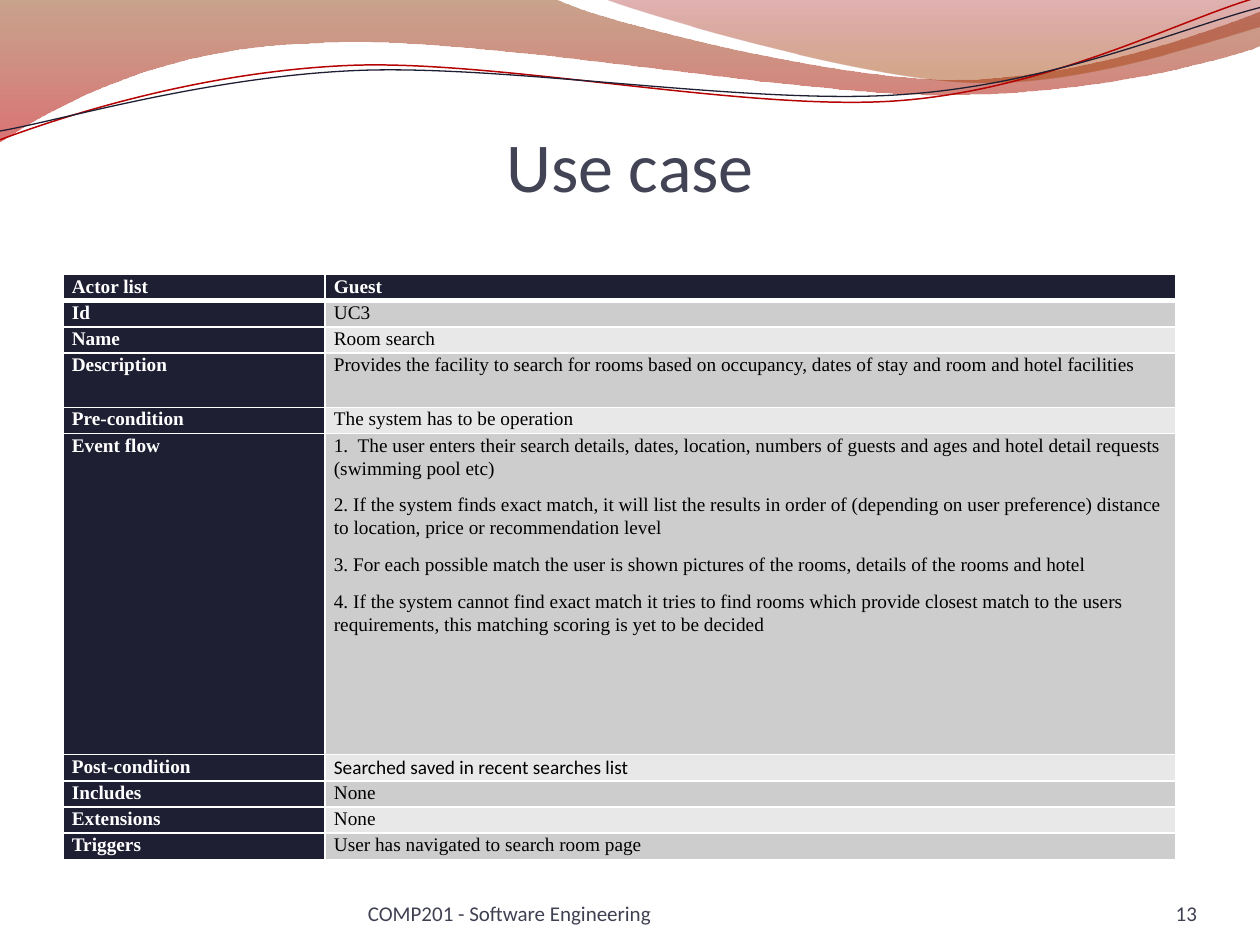
from dataclasses import dataclass

from lxml import etree
from pptx import Presentation
from pptx.dml.color import RGBColor
from pptx.enum import text
from pptx.oxml.ns import qn
from pptx.util import Inches, Pt


@dataclass(frozen=True)
class Theme:
    heading: str = "424456"
    footer: str = "3F4152"
    dark: str = "1F1F33"
    red: str = "B60202"
    white: str = "FFFFFF"
    black: str = "000000"
    bands: tuple = ("E8E8E8", "CDCDCE")
    # Gradient stops: position, colour, opacity in percent
    wide_wave: tuple = ((0, "883400", 45), (1, "BD0000", 55))
    right_wave: tuple = ((0, "9A0000", 30), (0.8, "A23E00", 45))
    sans: str = "Calibri"
    serif: str = "Times New Roman"
    title_size: int = 40
    table_size: int = 11
    footer_size: int = 12


class SlideBuilder:
    def __init__(self, prs, theme):
        self.theme = theme
        self.s = prs.slides.add_slide(prs.slide_layouts[5])

    def format_text(self, p, size, color, font, bold=False):
        for r in p.runs:
            r.font.size, r.font.name, r.font.bold = Pt(size), font, bold
            r.font.color.rgb = RGBColor.from_string(color)

    def set_frame(self, tf, top=0):
        tf.word_wrap = True
        tf.auto_size = text.MSO_AUTO_SIZE.NONE
        tf.vertical_anchor = text.MSO_ANCHOR.BOTTOM
        tf.margin_left = tf.margin_right = tf.margin_bottom = 0
        tf.margin_top = Inches(top)

    def outline(self, start, segments, closed):
        """A segment of two numbers is a line, one of six is a curve."""
        points = [(Inches(x), Inches(y)) for segment in segments
                  for x, y in zip(segment[::2], segment[1::2])]
        fb = self.s.shapes.build_freeform(Inches(start[0]), Inches(start[1]))
        fb.add_line_segments(points, close=closed)
        sp = fb.convert_to_shape()
        sp.shadow.inherit = False
        # Join the three points of each curve into one Bezier segment
        lines = iter(list(sp._element.spPr.iter(qn("a:lnTo"))))
        for segment in segments:
            parts = [next(lines) for _ in segment[::2]]
            if len(parts) == 3:
                curve = etree.Element(qn("a:cubicBezTo"))
                parts[0].addprevious(curve)
                for part in parts:
                    curve.append(part[0])
                    part.getparent().remove(part)
        return sp

    def wave(self, start, segments, stops):
        sp = self.outline(start, segments, True)
        sp.line.fill.background()
        sp.fill.gradient()
        sp.fill.gradient_angle = 270
        for stop, (position, color, _) in zip(sp.fill.gradient_stops, stops):
            stop.position = position
            stop.color.rgb = RGBColor.from_string(color)
        colors = sp._element.spPr.iter(qn("a:srgbClr"))
        for clr, (_, _, opacity) in zip(colors, stops):
            etree.SubElement(clr, qn("a:alpha"), val=str(opacity * 1000))

    def ribbon(self, start, segments, color, width):
        sp = self.outline(start, segments, False)
        sp.fill.background()
        sp.line.color.rgb = RGBColor.from_string(color)
        sp.line.width = Pt(width)

    def title(self, words, left, top, width, height):
        sp = self.s.shapes.title
        sp.left, sp.top, sp.width, sp.height = map(Inches, (left, top, width, height))
        tf = sp.text_frame
        tf.text = words
        self.set_frame(tf, 0.05)
        p = tf.paragraphs[0]
        p.alignment = text.PP_ALIGN.CENTER
        self.format_text(p, self.theme.title_size, self.theme.heading, self.theme.sans)

    def footer(self, words, left, width, align):
        sp = self.s.shapes.add_textbox(*map(Inches, (left, 6.95, width, 0.4)))
        tf = sp.text_frame
        tf.text = words
        self.set_frame(tf)
        p = tf.paragraphs[0]
        p.alignment = align
        self.format_text(p, self.theme.footer_size, self.theme.footer, self.theme.sans)

    def borders(self, cell, top, bottom):
        tc_pr = cell._tc.get_or_add_tcPr()
        for side, width in (("L", 1), ("R", 1), ("T", top), ("B", bottom)):
            ln = etree.SubElement(tc_pr, qn(f"a:ln{side}"), w=str(Pt(width)))
            fill = etree.SubElement(ln, qn("a:solidFill"))
            etree.SubElement(fill, qn("a:srgbClr"), val=self.theme.white)

    def cell(self, cell, words, row, is_label, font):
        th = self.theme
        dark = is_label or row == 0
        cell.margin_left = cell.margin_right = Inches(0.07)
        cell.margin_top = cell.margin_bottom = 0
        self.borders(cell, 3 if row == 1 else 1, 3 if row == 0 else 1)
        cell.fill.solid()
        cell.fill.fore_color.rgb = RGBColor.from_string(th.dark if dark else th.bands[row % 2])
        cell.text_frame.text = words
        for p in cell.text_frame.paragraphs:
            p.line_spacing = 1.07
            p.space_after = Pt(8)
            self.format_text(p, th.table_size, th.white if dark else th.black, font, dark)

    def table(self, rows, left, top, widths, height):
        # Rows without a height of their own share what is left
        tall = [row[2] for row in rows if len(row) > 2]
        shared = (height - sum(tall)) / (len(rows) - len(tall))
        tbl = self.s.shapes.add_table(
            len(rows), len(widths), *map(Inches, (left, top, sum(widths), height))).table
        for column, width in zip(tbl.columns, widths):
            column.width = Inches(width)
        for i, (label, value, *own) in enumerate(rows):
            tbl.rows[i].height = Inches(own[0] if own else shared)
            font = self.theme.sans if label == "Post-condition" else self.theme.serif
            self.cell(tbl.cell(i, 0), label, i, True, self.theme.serif)
            self.cell(tbl.cell(i, 1), value, i, False, font)


EVENT_FLOW = "\n".join((
    "1.  The user enters their search details, dates, location, numbers of guests and ages "
    "and hotel detail requests (swimming pool etc)",
    "2. If the system finds exact match, it will list the results in order of (depending on "
    "user preference) distance to location, price or recommendation level",
    "3. For each possible match the user is shown pictures of the rooms, details of the rooms "
    "and hotel",
    "4. If the system cannot find exact match it tries to find rooms which provide closest "
    "match to the users requirements, this matching scoring is yet to be decided",
))

# Label, value and, for taller rows, the height
USE_CASE = [
    ("Actor list", "Guest"),
    ("Id", "UC3"),
    ("Name", "Room search"),
    ("Description", "Provides the facility to search for rooms based on occupancy, "
     "dates of stay and room and hotel facilities", 0.43),
    ("Pre-condition", "The system has to be operation"),
    ("Event flow", EVENT_FLOW, 2.55),
    ("Post-condition", "Searched saved in recent searches list"),
    ("Includes", "None"),
    ("Extensions", "None"),
    ("Triggers", "User has navigated to search room page"),
]


def main():
    prs = Presentation()
    prs.slide_width, prs.slide_height = Inches(10), Inches(7.5)
    theme = Theme()
    b = SlideBuilder(prs, theme)

    # Waves and ribbons along the top
    b.wave((0, 0), [(4.4, -0.01), (4.76, 0.17, 6.64, 0.63, 7.58, 0.63),
                    (8.53, 0.63, 9.58, 0.26, 10, 0.09), (10.01, 0.36),
                    (9.83, 0.44, 8.7, 0.76, 7.46, 0.75),
                    (6.22, 0.75, 3.82, 0.28, 2.57, 0.34),
                    (1.29, 0.36, 0.46, 0.83, -0.01, 1.13)], theme.wide_wave)
    b.wave((4.79, -0.01), [(5.09, 0.11, 6.82, 0.62, 7.69, 0.65),
                           (8.56, 0.69, 9.61, 0.32, 10, 0.21), (10, 0)], theme.right_wave)
    b.ribbon((0, 1.11), [(0.48, 0.93, 1.58, 0.57, 2.77, 0.52),
                         (3.95, 0.47, 5.93, 0.89, 7.13, 0.8),
                         (8.33, 0.71, 9.38, 0.15, 9.98, -0.02)], theme.red, 0.85)
    b.ribbon((0, 1.04), [(0.47, 0.96, 1.64, 0.61, 2.83, 0.56),
                         (4.03, 0.51, 5.97, 0.84, 7.17, 0.75),
                         (8.36, 0.67, 9.41, 0.21, 10, 0.06)], theme.dark, 0.75)

    # Title, footer and use case table
    b.title("Use case", 0.5, 0.77, 9, 0.87)
    b.footer("COMP201 - Software Engineering", 2.92, 3.67, text.PP_ALIGN.LEFT)
    b.footer("13", 8.67, 0.83, text.PP_ALIGN.RIGHT)
    b.table(USE_CASE, 0.5, 2.18, (2.08, 6.75), 4.64)

    prs.save("out.pptx")


if __name__ == "__main__":
    main()
